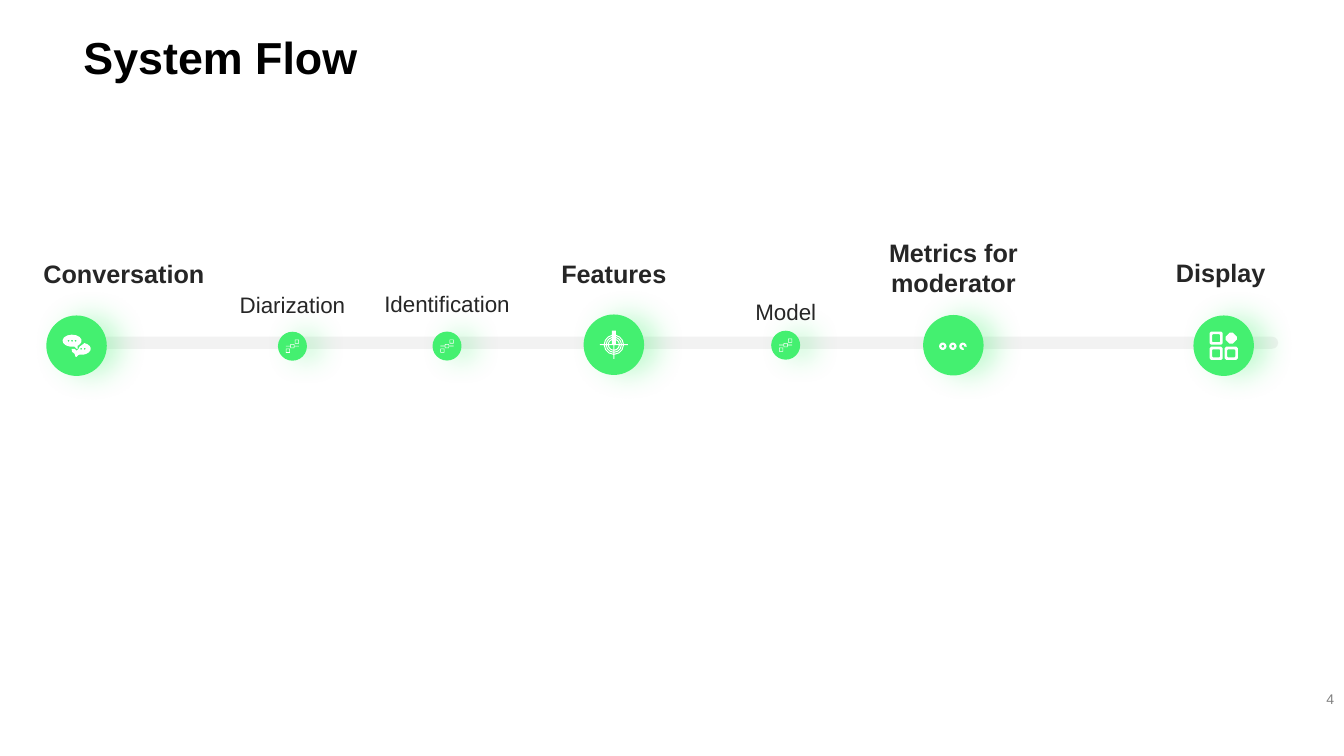
from dataclasses import dataclass
from math import acos, asin, cos, hypot, radians, sin
from typing import Any

from lxml import etree
from pptx import Presentation
from pptx.dml.color import RGBColor
from pptx.enum.shapes import MSO_SHAPE
from pptx.enum.text import MSO_ANCHOR, MSO_AUTO_SIZE, PP_ALIGN
from pptx.oxml.ns import qn
from pptx.util import Inches, Pt

Point = tuple[float, float]
Contour = list[Point]

OVAL, PILL = MSO_SHAPE.OVAL, MSO_SHAPE.ROUNDED_RECTANGLE
TOP, MIDDLE, BOTTOM = MSO_ANCHOR.TOP, MSO_ANCHOR.MIDDLE, MSO_ANCHOR.BOTTOM
LEFT, CENTER, RIGHT = PP_ALIGN.LEFT, PP_ALIGN.CENTER, PP_ALIGN.RIGHT
GROW, FIXED = MSO_AUTO_SIZE.SHAPE_TO_FIT_TEXT, MSO_AUTO_SIZE.NONE

# Slide grid of square cells; icons use a finer step
COLUMNS, ROWS = 160, 90
CELL = Inches(1 / 12)
ICON_STEP = Inches(0.01)


@dataclass(frozen=True)
class Theme:
    font: str = "Arial"
    title_color: str = "000000"
    label_color: str = "262626"
    number_color: str = "808080"
    track: str = "F2F2F2"
    accent: str = "44F070"
    icon: str = "FFFFFF"
    title_size: int = 32
    stage_size: int = 18
    step_size: int = 16
    number_size: int = 10


THEME = Theme()


@dataclass(frozen=True)
class Box:
    left: float
    top: float
    width: float
    height: float

    def emu(self) -> list[int]:
        return [round(v * CELL) for v in (self.left, self.top, self.width, self.height)]


@dataclass(frozen=True)
class Stage:
    label: str
    column: float
    row: float
    label_top: float
    icon: list[Contour]
    major: bool = True
    label_shift: float = 0
    label_width: float = 17.76
    label_height: float = 4.8


# Icon outlines, measured from the node's centre
def arc(x: float, y: float, rx: float, ry: float, start: float, end: float,
        steps: int = 12) -> Contour:
    angles = [radians(start + (end - start) * i / steps) for i in range(steps + 1)]
    return [(x + rx * cos(a), y + ry * sin(a)) for a in angles]


def disc(x: float, y: float, radius: float, sides: int = 10) -> Contour:
    return arc(x, y, radius, radius, 0, 360, sides)[:-1]


def rect(x: float, y: float, width: float, height: float) -> Contour:
    return [(x, y), (x + width, y), (x + width, y + height), (x, y + height)]


def soft_square(x: float, y: float, size: float, r: float) -> Contour:
    far = size - r
    corners = ((far, far, 0), (r, far, 90), (r, r, 180), (far, r, 270))
    return [p for dx, dy, a in corners for p in arc(x + dx, y + dy, r, r, a, a + 90, 1)]


def chat_icon() -> list[Contour]:
    speaker = arc(-4.5, -5, 9.5, 6, 75, 405) + [(1, 0), (1, 3), (0, 3)]
    reply = arc(4.5, 3, 9.5, 6, -70, 100, 8) + [
        (2, 9), (0, 11), (-1, 11), (-2, 8), (-4.5, 6), (-5, 3), (-2, 3), (0, 5), (2, 3), (3, 1)]
    dots = [(-8, -5), (-4.5, -5), (-1, -5), (4.5, 3), (8, 3)]
    return [speaker, reply] + [disc(x, y, 1, 6) for x, y in dots]


def flow_icon() -> list[Contour]:
    squares = [(2.5, -6.5), (-2, -2), (-6.5, 2.5)]
    frames = [rect(x + d, y + d, 4 - 2 * d, 4 - 2 * d) for x, y in squares for d in (0, 0.5)]
    links = [rect(-6.5, -0.4, 4.5, 0.6), rect(2, -0.4, 4.5, 0.6)]
    return frames + links


def target_icon() -> list[Contour]:
    half = 0.5

    def quarter(radius: float, sx: int, sy: int) -> Contour:
        gap = 2 if sy < 0 else half
        start, end = asin(half / radius), acos(gap / radius)
        angles = [start + (end - start) * i / 3 for i in range(4)]
        return [(sx * radius * cos(a), sy * radius * sin(a)) for a in angles]

    sight = (quarter(10, 1, 1) + [(half, 14), (-half, 14)]
             + quarter(10, -1, 1)[::-1] + [(-14, half), (-14, -half)]
             + quarter(10, -1, -1) + [(-2, -14), (2, -14)]
             + quarter(10, 1, -1)[::-1] + [(14, -half), (14, half)])
    gaps = []
    for sx in (1, -1):
        for sy in (1, -1):
            corner = (sx * (2 if sy < 0 else half), sy * half)
            gaps.append(quarter(5, sx, sy) + [corner])
            for outer, inner in ((9, 8), (7, 6)):
                gaps.append(quarter(outer, sx, sy) + quarter(inner, sx, sy)[::-1])
    return [sight] + gaps


def metrics_icon() -> list[Contour]:
    rings = [disc(x, 1, r) for x in (-10.5, -0.5) for r in (3.7, 1.4)]
    open_ring = arc(9.5, 1, 3.7, 3.7, 75, 370, 8) + arc(9.5, 1, 1.4, 1.4, 370, 75, 6)
    return rings + [open_ring]


def display_icon() -> list[Contour]:
    tiles = [(-14, -14), (-14, 1), (1, 1)]
    frames = [soft_square(x + d, y + d, 13 - 2 * d, r)
              for x, y in tiles for d, r in ((0, 1.5), (2.5, 0.8))]
    diamond = [(6, -2), (9, -2), (13, -6), (13, -9), (9, -13), (6, -13), (2, -9), (2, -6)]
    return frames + [diamond]


STAGES = [
    Stage("Conversation", 9.12, 41.16, 30.12, chat_icon(), label_shift=5.64, label_width=23.28),
    Stage("Diarization", 34.82, 41.22, 34.08, flow_icon(), False, label_height=4.44),
    Stage("Identification", 53.22, 41.2, 33.96, flow_icon(), False, label_height=4.44),
    Stage("Features", 73.08, 41.04, 30.12, target_icon()),
    Stage("Model", 93.54, 41.1, 34.92, flow_icon(), False, label_height=4.44),
    Stage("Metrics for moderator", 113.5, 41.1, 27.6, metrics_icon(),
          label_width=18.24, label_height=8.52),
    Stage("Display", 145.68, 41.16, 30, display_icon(), label_shift=-0.36),
]


# Drawing
def paint(shape: Any, color: str) -> None:
    shape.shadow.inherit = False
    shape.fill.solid()
    shape.fill.fore_color.rgb = RGBColor.from_string(color)
    shape.line.fill.background()


def add_glow(shape: Any, color: str) -> None:
    effects = shape._element.spPr.find(qn("a:effectLst"))
    glow = etree.SubElement(effects, qn("a:outerShdw"), blurRad=str(Pt(20)),
                            dist=str(Pt(10)), dir="0", algn="l", rotWithShape="0")
    tint = etree.SubElement(glow, qn("a:srgbClr"), val=color)
    etree.SubElement(tint, qn("a:alpha"), val="32000")


def add_text(slide: Any, text: str, box: Box, color: str, size: int, bold: bool = False,
             align: Any = CENTER, anchor: Any = TOP, fit: Any = FIXED, spacing: float = 1) -> None:
    frame = slide.shapes.add_textbox(*box.emu()).text_frame
    paragraph = frame.paragraphs[0]
    paragraph.text = text
    font = paragraph.runs[0].font
    formats = (
        (frame, {"word_wrap": True, "vertical_anchor": anchor, "auto_size": fit}),
        (paragraph, {"alignment": align, "line_spacing": spacing}),
        (font, {"name": THEME.font, "size": Pt(size), "bold": bold}),
        (font.color, {"rgb": RGBColor.from_string(color)}),
    )
    for target, values in formats:
        for name, value in values.items():
            setattr(target, name, value)


def add_icon(slide: Any, stage: Stage) -> None:
    outlines = [[(round(stage.column * CELL + x * ICON_STEP), round(stage.row * CELL + y * ICON_STEP))
                 for x, y in contour] for contour in stage.icon]
    builder = slide.shapes.build_freeform(*outlines[0][0])
    for outline in outlines:
        if outline is not outlines[0]:
            builder.move_to(*outline[0])
        builder.add_line_segments(outline[1:], close=True)
    paint(builder.convert_to_shape(), THEME.icon)


def add_stage(slide: Any, stage: Stage) -> None:
    size = 7.2 if stage.major else 3.45
    node_box = Box(stage.column - size / 2, stage.row - size / 2, size, size)
    node = slide.shapes.add_shape(OVAL, *node_box.emu())
    paint(node, THEME.accent)
    add_glow(node, THEME.accent)
    add_icon(slide, stage)
    label_left = stage.column + stage.label_shift - stage.label_width / 2
    add_text(slide, stage.label, Box(label_left, stage.label_top, stage.label_width, stage.label_height),
             THEME.label_color, THEME.stage_size if stage.major else THEME.step_size,
             bold=stage.major, fit=GROW)


def main() -> None:
    deck = Presentation()
    deck.slide_width, deck.slide_height = COLUMNS * CELL, ROWS * CELL
    slide = deck.slides.add_slide(deck.slide_layouts[6])

    # Title and page number
    add_text(slide, "System Flow", Box(8.76, 1.92, 142.44, 8.64), THEME.title_color,
             THEME.title_size, bold=True, align=LEFT, anchor=BOTTOM, spacing=0.9)
    add_text(slide, "4", Box(121.8, 81.84, 38.2, 2.76), THEME.number_color,
             THEME.number_size, align=RIGHT, anchor=MIDDLE)

    # Timeline track and stages
    track = slide.shapes.add_shape(PILL, *Box(9.96, 40.08, 142.2, 1.44).emu())
    track.adjustments[0] = 0.5
    paint(track, THEME.track)
    for stage in STAGES:
        add_stage(slide, stage)

    deck.save("out.pptx")


if __name__ == "__main__":
    main()
